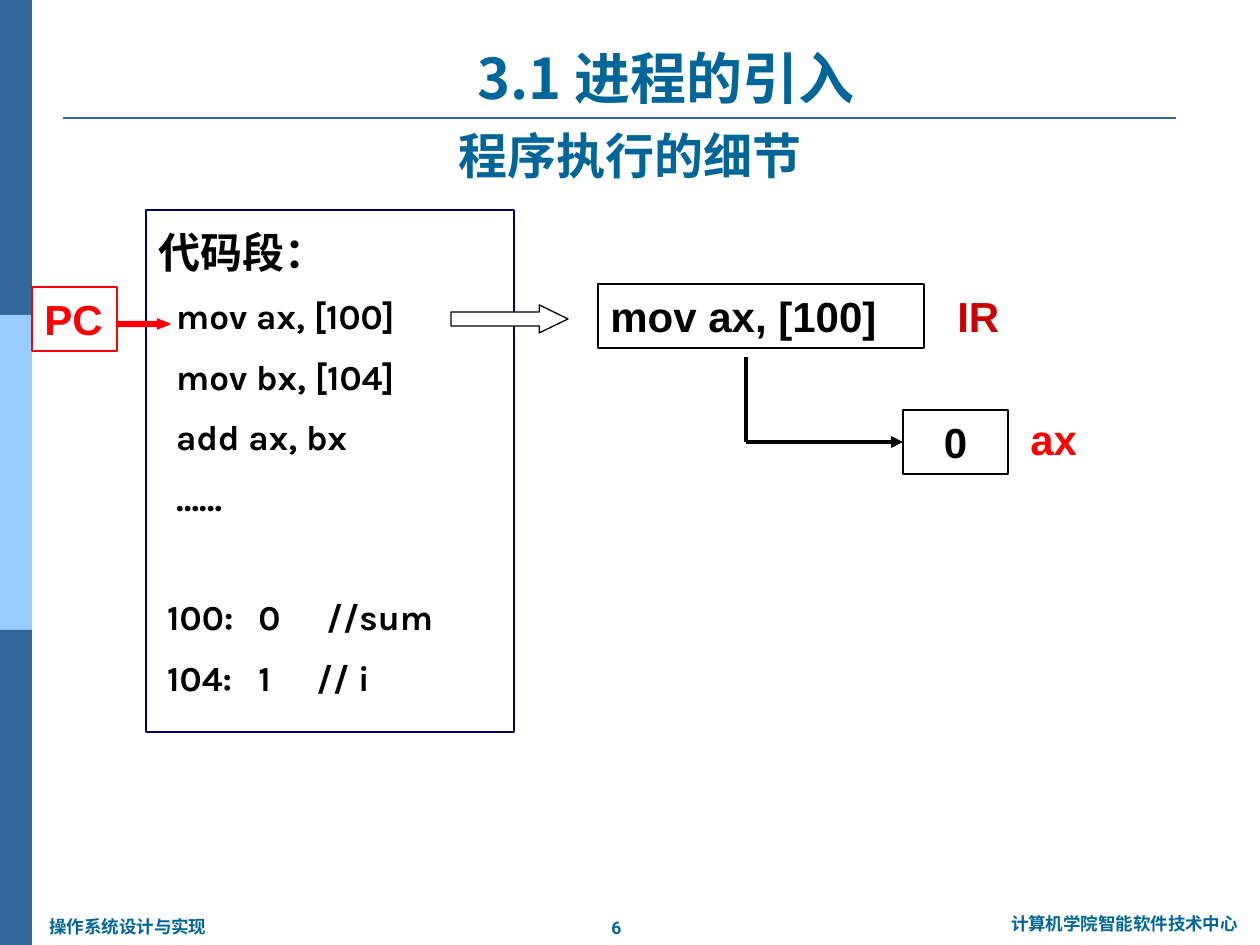
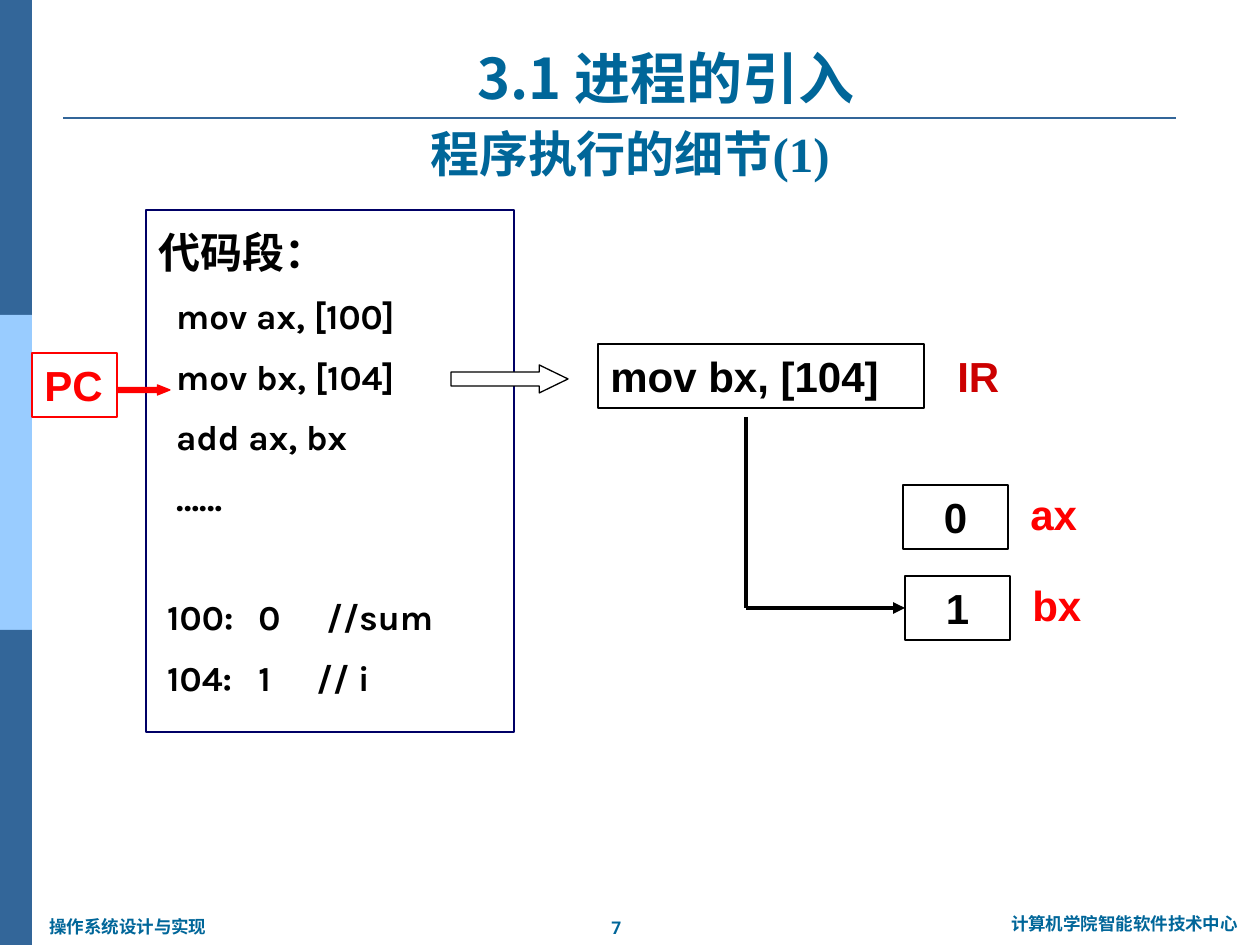
from lxml import etree
from pptx import Presentation
from pptx.dml.color import RGBColor
from pptx.enum.shapes import MSO_CONNECTOR, MSO_SHAPE
from pptx.enum.text import MSO_ANCHOR, PP_ALIGN
from pptx.oxml.ns import qn
from pptx.util import Emu, Pt

RECT, ARROW = MSO_SHAPE.RECTANGLE, MSO_SHAPE.RIGHT_ARROW
STRAIGHT = MSO_CONNECTOR.STRAIGHT
LEFT, CENTER = PP_ALIGN.LEFT, PP_ALIGN.CENTER
TOP, BOTTOM = MSO_ANCHOR.TOP, MSO_ANCHOR.BOTTOM
LEFT_SIDE = 1

EMU_PER_PX = 914400 / 126
COLORS = {
    "band": "336699", "light": "99CCFF", "title": "006699", "frame": "000066",
    "black": "000000", "white": "FFFFFF", "red": "FF0000", "dark_red": "CC0000",
}
CJK_FONT = "Noto Sans CJK SC"
FORMATS = {
    "title": {"name": CJK_FONT, "size": Pt(32), "bold": True},
    "subtitle": {"name": "Times New Roman", "size": Pt(28), "bold": True},
    "label": {"name": "Arial", "size": Pt(24), "bold": True},
    "code": {"name": "Karla", "size": Pt(20), "bold": True},
    "footer": {"name": "Roboto", "size": Pt(10), "bold": True},
}

BOX_H = 64
CODE_LINES = ["  mov ax, [100]", "  mov bx, [104]", "  add ax, bx", "  ……"]
# Line, points before it, tab stops in px
MEMORY_LINES = [
    (" 100:\t0\t//sum", 44.5, (100, 168)),
    (" 104:\t1\t// i", 10.5, (100, 158)),
]
STEPS = [
    {"number": 6, "subtitle": "程序执行的细节", "subtitle_y": 111,
     "instruction": "mov ax, [100]", "pc_y": 287, "ir_y": 284,
     "registers": [("ax", "0", 903, 410)]},
    {"number": 7, "subtitle": "程序执行的细节(1)", "subtitle_y": 110,
     "instruction": "mov bx, [104]", "pc_y": 353, "ir_y": 344,
     "registers": [("ax", "0", 903, 485), ("bx", "1", 905, 576)]},
]


def px(n):
    return Emu(round(n * EMU_PER_PX))


def rgb(name):
    return RGBColor.from_string(COLORS[name])


class Deck:
    """Holds the presentation, its style and the current slide."""

    def __init__(self):
        self.prs = Presentation()
        self.prs.slide_width, self.prs.slide_height = px(1260), px(945)
        self.s = None

    def new_slide(self, number):
        self.s = self.prs.slides.add_slide(self.prs.slide_layouts[6])
        for i, color in enumerate(("band", "light", "band")):
            self.shape(RECT, 0, i * 315, 32, 315, fill=color)
        self.line((63, 118), (1176, 118), "band", 1.5)
        self.text(593, 911, 47, 34, str(number), "footer", "title", CENTER, wrap=False)
        self.text(992, 907, 265, 34, "计算机学院智能软件技术中心", "footer", "title", CENTER)
        self.text(37, 910, 184, 34, "操作系统设计与实现", "footer", "title", wrap=False)
        self.text(227, 38, 879, 79, "3.1 进程的引入", "title", "title", CENTER, BOTTOM)

    def shape(self, kind, x, y, w, h, fill=None, line=None):
        sp = self.s.shapes.add_shape(kind, px(x), px(y), px(w), px(h))
        sp.shadow.inherit = False
        if fill:
            sp.fill.solid()
            sp.fill.fore_color.rgb = rgb(fill)
        else:
            sp.fill.background()
        if line:
            sp.line.color.rgb = rgb(line)
            sp.line.width = Pt(0.75)
        else:
            sp.line.fill.background()
        return sp

    def arrow(self, x, y, w, h, head, fill, line):
        """Block arrow; head is the head length as a share of the height."""
        sp = self.shape(ARROW, x, y, w, h, fill, line)
        sp.adjustments[0], sp.adjustments[1] = 0.5, head

    def line(self, start, end, color, width, target=None):
        """Straight line; with a target it ends in an arrowhead on its left side."""
        c = self.s.shapes.add_connector(STRAIGHT, *map(px, start + end))
        c.line.color.rgb = rgb(color)
        c.line.width = Pt(width)
        props = c._element.spPr
        if target:
            c.end_connect(target, LEFT_SIDE)
            etree.SubElement(props.find(qn("a:ln")), qn("a:tailEnd"), type="triangle")
        etree.SubElement(props, qn("a:effectLst"))

    def setup(self, sp, wrap=True, anchor=TOP):
        tf = sp.text_frame
        tf.word_wrap, tf.vertical_anchor = wrap, anchor
        return tf

    def fill_paragraph(self, p, text, fmt, color, align=LEFT, before=0, tabs=()):
        if tabs:
            tab_list = etree.SubElement(p._p.get_or_add_pPr(), qn("a:tabLst"))
            for stop in tabs:
                etree.SubElement(tab_list, qn("a:tab"), pos=str(px(stop)), algn="l")
        p.alignment = align
        if before:
            p.space_before = Pt(before)
        r = p.add_run()
        r.text = text
        for name, value in FORMATS[fmt].items():
            setattr(r.font, name, value)
        r.font.color.rgb = rgb(color)
        r.font._element.find(qn("a:latin")).addnext(
            etree.Element(qn("a:ea"), typeface=CJK_FONT))

    def text(self, x, y, w, h, text, fmt, color, align=LEFT, anchor=TOP, wrap=True):
        sp = self.s.shapes.add_textbox(px(x), px(y), px(w), px(h))
        tf = self.setup(sp, wrap, anchor)
        self.fill_paragraph(tf.paragraphs[0], text, fmt, color, align)
        return tf

    def box(self, x, y, w, text, color, align=LEFT, wrap=True):
        """Outlined box of standard height with one label in it."""
        sp = self.shape(RECT, x, y, w, BOX_H, line=color)
        tf = self.setup(sp, wrap)
        self.fill_paragraph(tf.paragraphs[0], text, "label", color, align)
        return sp

    def code_segment(self):
        self.shape(RECT, 146, 210, 368, 522, "white", "frame")
        tf = self.text(146, 220, 441, 504, "代码段：", "label", "black")
        lines = [(code, 10.5, ()) for code in CODE_LINES] + MEMORY_LINES
        for code, before, tabs in lines:
            self.fill_paragraph(tf.add_paragraph(), code, "code", "black",
                                before=before, tabs=tabs)

    def register(self, name, value, x, y):
        sp = self.box(x, y, 105, value, "black", CENTER)
        self.text(x + 115, y - 3, 126, 63, name, "label", "red")
        return sp


def build_step(deck, step):
    deck.new_slide(step["number"])
    deck.text(63, step["subtitle_y"], 1134, 79, step["subtitle"],
              "subtitle", "title", CENTER, BOTTOM)
    deck.code_segment()

    pc_y, ir_y = step["pc_y"], step["ir_y"]
    deck.arrow(451, ir_y + 21, 117, 28, 1.03, "white", "black")
    deck.box(32, pc_y, 85, "PC", "red", wrap=False)
    deck.arrow(117, pc_y + 32, 53, 10, 1.25, "red", "red")
    deck.box(598, ir_y, 326, step["instruction"], "black")
    deck.text(945, ir_y, 126, 63, "IR", "label", "dark_red")

    for register in step["registers"]:
        target = deck.register(*register)
    x, y = register[2:]
    corner = (746, y + BOX_H // 2)
    deck.line((746, ir_y + 73), corner, "black", 2.25)
    deck.line(corner, (x, corner[1]), "black", 2.25, target)


def main():
    deck = Deck()
    for step in STEPS:
        build_step(deck, step)
    deck.prs.save("out.pptx")


if __name__ == "__main__":
    main()
